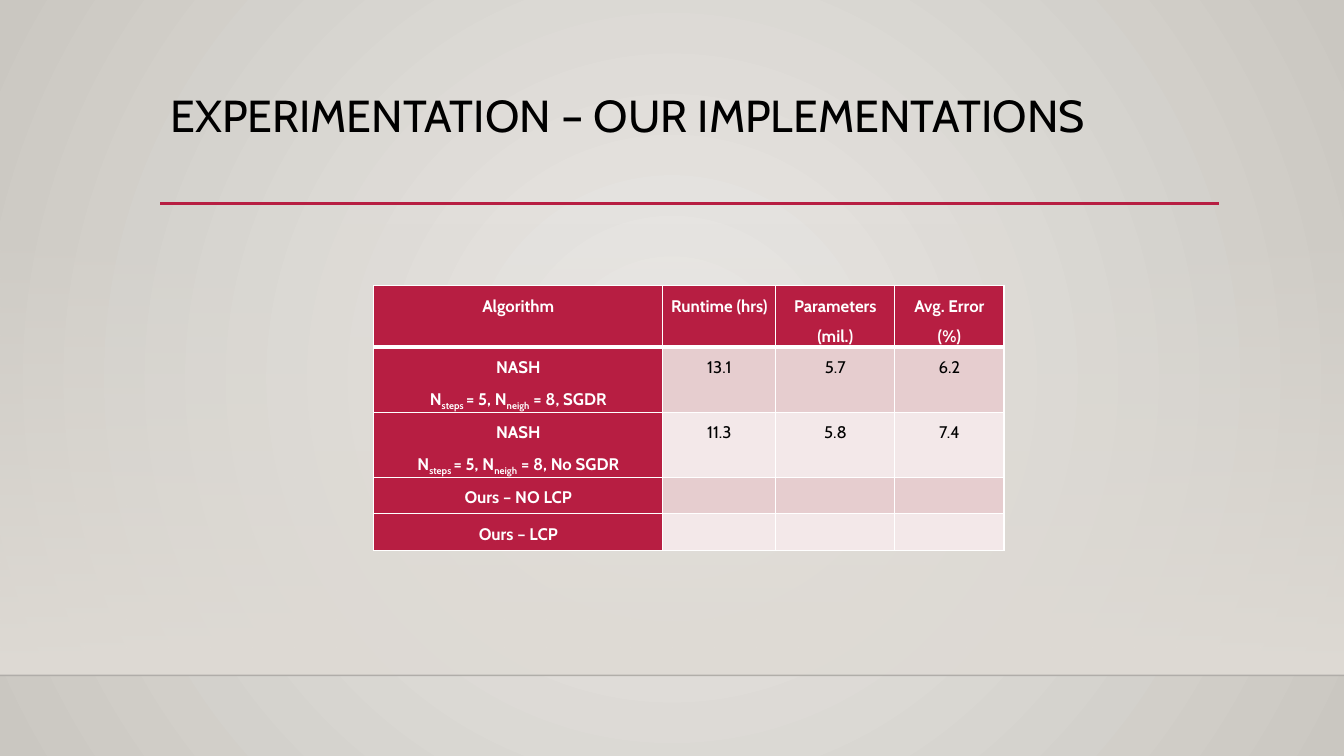
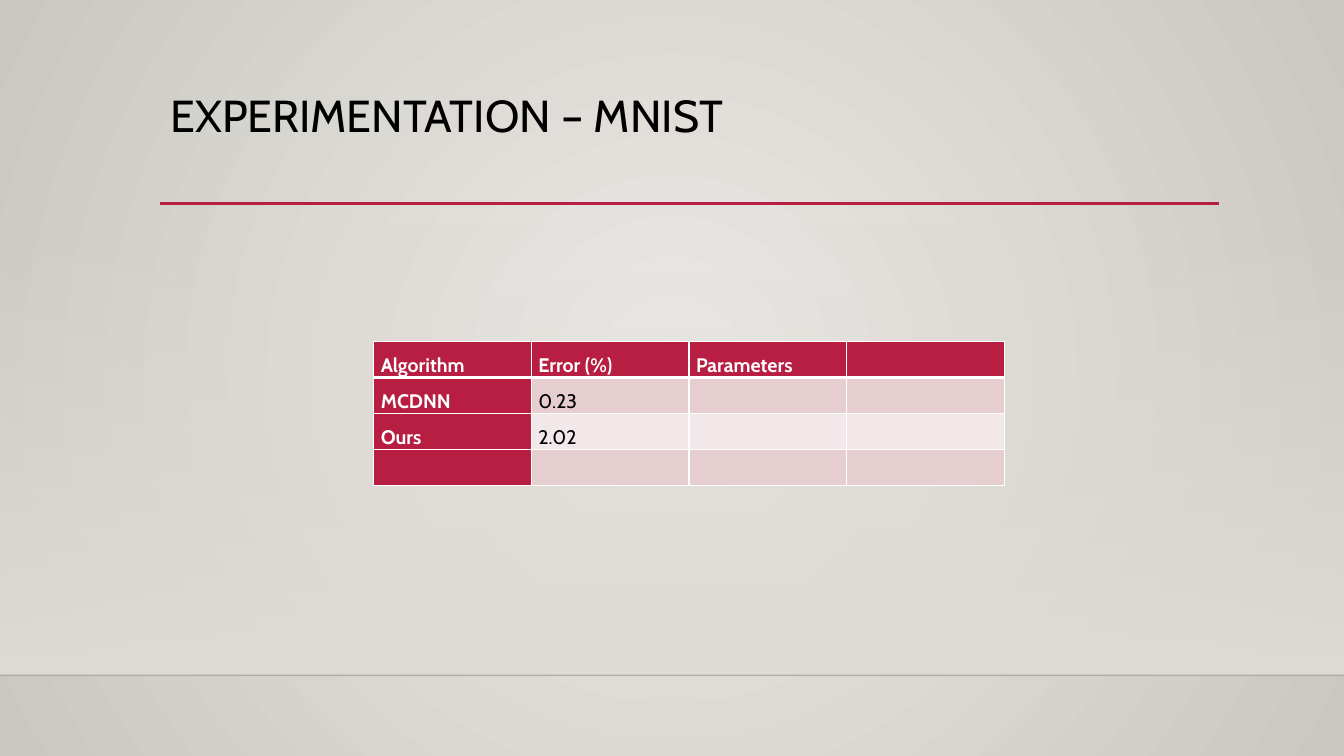
from lxml.etree import SubElement
from pptx import Presentation
from pptx.dml.color import RGBColor
from pptx.enum.shapes import MSO_CONNECTOR, MSO_SHAPE
from pptx.enum.text import MSO_ANCHOR, MSO_AUTO_SIZE, PP_ALIGN
from pptx.oxml.ns import qn
from pptx.util import Pt


def colour(value):
    """Turn a hex string into a colour."""
    return RGBColor.from_string(value)


def assign(target, values):
    """Set each attribute named in a dict."""
    for name, value in values.items():
        setattr(target, name, value)


def add_alpha(element, percent):
    """Give every colour inside an element an opacity."""
    for node in element.iter(qn("a:srgbClr")):
        SubElement(node, qn("a:alpha"), val=str(percent * 1000))


class Deck:
    """Holds the shared style and the current slide."""

    FONT = "Cabin"
    ACCENT, INK, WHITE = "B71E42", "000000", "FFFFFF"
    BANDS = ("E6CDCF", "F3E8E9")
    WIDTH, HEIGHT = 960, 540
    LEFT, CONTENT_WIDTH = 114.5, 756
    RULE_TOP, FLOOR_TOP, GLOW_TOP = 145.5, 482.4, 159
    TABLE_LEFT = 267

    def __init__(self):
        """Open an empty deck with a radial background."""
        self.deck = Presentation()
        assign(self.deck, {"slide_width": Pt(self.WIDTH), "slide_height": Pt(self.HEIGHT)})
        master = self.deck.slide_master
        self.gradient(master.background.fill, ("ECEAE7", "CAC7C1"))
        fill = next(master._element.iter(qn("a:gradFill")))
        fill.remove(fill.find(qn("a:lin")))
        radial = SubElement(fill, qn("a:path"), path="circle")
        SubElement(radial, qn("a:fillToRect"), l="50000", t="50000", r="50000", b="50000")

    def gradient(self, fill, colours):
        """Fill with a two-colour gradient running downwards."""
        fill.gradient()
        fill.gradient_angle = 270
        for stop, value in zip(fill.gradient_stops, colours):
            stop.color.rgb = colour(value)

    def add_page(self, title):
        """Start a slide with its title and decoration."""
        self.page = self.deck.slides.add_slide(self.deck.slide_layouts[5])
        self.glow()
        self.line(0, self.WIDTH, self.FLOOR_TOP, "000001", 1, 20)
        self.line(self.LEFT, self.LEFT + self.CONTENT_WIDTH, self.RULE_TOP, self.ACCENT, 2.5)
        self.title(title)

    def title(self, text):
        """Place and format the title placeholder."""
        box = self.page.shapes.title
        assign(box, {"left": Pt(self.LEFT), "top": Pt(63.4),
                     "width": Pt(self.CONTENT_WIDTH), "height": Pt(82.8)})
        assign(box.text_frame, {"word_wrap": True, "auto_size": MSO_AUTO_SIZE.NONE,
                                "vertical_anchor": MSO_ANCHOR.TOP})
        para = box.text_frame.paragraphs[0]
        assign(para, {"alignment": PP_ALIGN.LEFT, "line_spacing": 0.9})
        self.span(para, text, 32, self.INK)

    def span(self, para, text, size, ink, bold=False):
        """Add one formatted run."""
        span = para.add_run()
        span.text = text
        assign(span.font, {"name": self.FONT, "size": Pt(size), "bold": bold})
        span.font.color.rgb = colour(ink)
        return span

    def glow(self):
        """Add the panel that fades in above the floor line."""
        panel = self.page.shapes.add_shape(
            MSO_SHAPE.RECTANGLE, Pt(0), Pt(self.GLOW_TOP),
            Pt(self.WIDTH), Pt(self.FLOOR_TOP - self.GLOW_TOP))
        panel.shadow.inherit = False
        panel.line.fill.background()
        self.gradient(panel.fill, ("DFDBD5", "DFDBD5"))
        add_alpha(next(panel._element.iter(qn("a:gs"))), 0)

    def line(self, start, end, top, ink, width, opacity=100):
        """Add a horizontal line."""
        line = self.page.shapes.add_connector(
            MSO_CONNECTOR.STRAIGHT, Pt(start), Pt(top), Pt(end), Pt(top))
        line.line.width = Pt(width)
        line.line.color.rgb = colour(ink)
        properties = line._element.spPr
        if opacity < 100:
            add_alpha(properties, opacity)
        SubElement(properties, qn("a:effectLst"))

    def table(self, top, widths, heights, rows, size, layout):
        """Add a table with accent headers and banded rows."""
        table = self.page.shapes.add_table(
            len(rows), len(widths), Pt(self.TABLE_LEFT), Pt(top),
            Pt(sum(widths)), Pt(sum(heights))).table
        for column, width in zip(table.columns, widths):
            column.width = Pt(width)
        for index, (row, height) in enumerate(zip(rows, heights)):
            table.rows[index].height = Pt(height)
            for place, text in enumerate(row):
                self.cell(table.cell(index, place), index, place, text, size, layout)

    def cell(self, cell, row, column, text, size, layout):
        """Format one cell; underscores enclose subscripts."""
        header = row == 0 or column == 0
        assign(cell, {"margin_left": Pt(5), "margin_right": Pt(5),
                      "margin_top": 0, "margin_bottom": 0})
        self.borders(cell, row)
        cell.fill.solid()
        cell.fill.fore_color.rgb = colour(self.ACCENT if header else self.BANDS[(row - 1) % 2])
        para = cell.text_frame.paragraphs[0]
        para.font.size = Pt(size)
        if not text:
            return
        assign(para, layout)
        for number, words in enumerate(text.split("\n")):
            if number:
                para.add_line_break()
            for part, piece in enumerate(words.split("_")):
                span = self.span(para, piece, size, self.WHITE if header else self.INK, header)
                if part % 2:
                    span.font._element.set("baseline", "-25000")

    def borders(self, cell, row):
        """Draw white borders, thick under the header row."""
        properties = cell._tc.get_or_add_tcPr()
        thick = {0: "lnB", 1: "lnT"}.get(row)
        for side in ("lnL", "lnR", "lnT", "lnB"):
            width = Pt(3 if side == thick else 1)
            edge = SubElement(properties, qn("a:" + side), w=str(width))
            SubElement(SubElement(edge, qn("a:solidFill")), qn("a:srgbClr"), val=self.WHITE)


def main():
    """Build both slides."""
    deck = Deck()
    deck.add_page("EXPERIMENTATION – OUR IMPLEMENTATIONS")
    settings = "NASH\nN_steps _= 5, N_neigh_ = 8, "
    deck.table(
        204, (206.5, 80.75, 85, 78), (43.6, 46, 46, 26, 26),
        (("Algorithm", "Runtime (hrs)", "Parameters (mil.)", "Avg. Error (%)"),
         (settings + "SGDR", "13.1", "5.7", "6.2"),
         (settings + "No SGDR", "11.3", "5.8", "7.4"),
         ("Ours – NO LCP", "", "", ""),
         ("Ours – LCP", "", "", "")),
        12, {"alignment": PP_ALIGN.CENTER, "line_spacing": 1.5, "space_after": Pt(12)})
    deck.add_page("EXPERIMENTATION – MNIST")
    deck.table(
        244, (112.6,) * 4, (25.7,) * 4,
        (("Algorithm", "Error (%)", "Parameters", ""),
         ("MCDNN", "0.23", "", ""),
         ("Ours", "2.02", "", ""),
         ("", "", "", "")),
        14, {"alignment": PP_ALIGN.LEFT, "line_spacing": 1.5})
    deck.deck.save("out.pptx")


if __name__ == "__main__":
    main()
